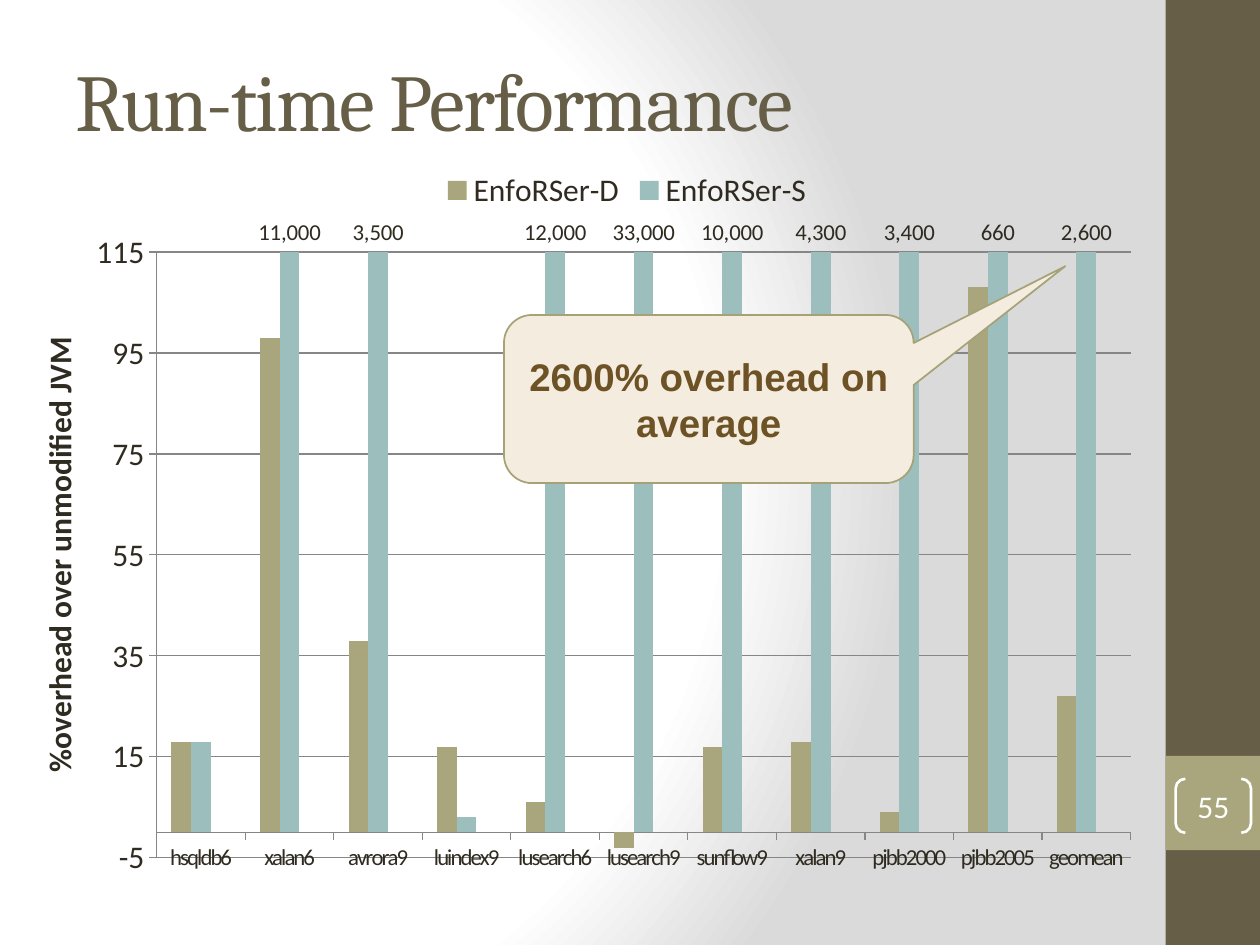
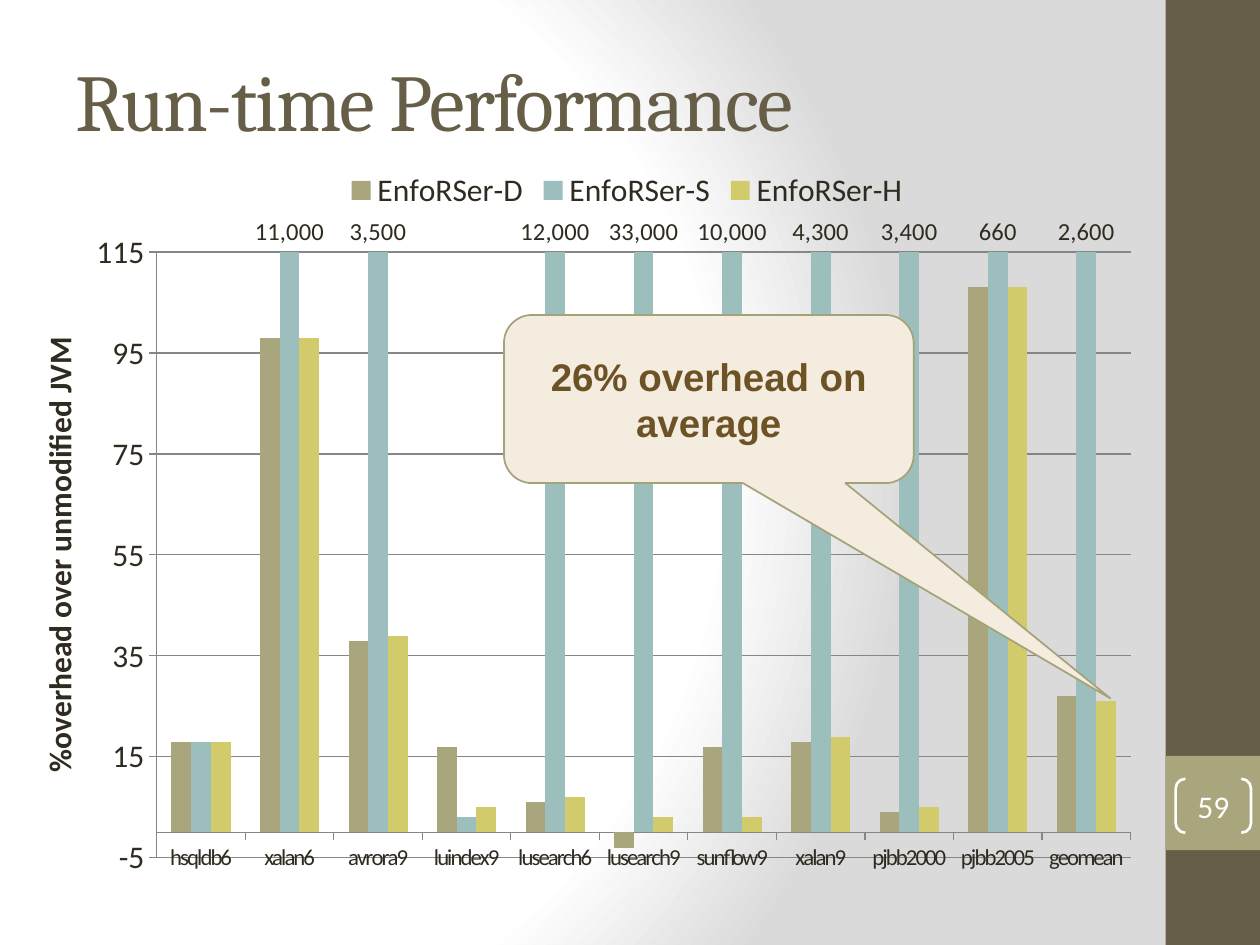
import pptx
import pptx.chart.data
import pptx.dml.color
import pptx.enum.chart
import pptx.enum.shapes
import pptx.enum.text
import pptx.oxml
import pptx.oxml.ns
import pptx.util
from dataclasses import dataclass
from typing import Optional

Cm, Pt = pptx.util.Cm, pptx.util.Pt
MSO_SHAPE = pptx.enum.shapes.MSO_SHAPE
PP_ALIGN = pptx.enum.text.PP_ALIGN
XL = pptx.enum.chart

COLORS = {
    "band": "675E47",
    "accent": "A9A57C",
    "teal": "9CBEBD",
    "yellow": "D2CB6C",
    "text": "2F2B20",
    "grid": "868686",
    "callout": "F4ECDF",
    "callout_line": "A6A278",
    "callout_text": "6D5225",
    "white": "FFFFFF",
    "shade": "DADADA",
}
BENCHMARKS = ["hsqldb6", "xalan6", "avrora9", "luindex9", "lusearch6", "lusearch9",
              "sunflow9", "xalan9", "pjbb2000", "pjbb2005", "geomean"]
AXIS_MIN, AXIS_MAX, AXIS_STEP = -5, 115, 20
# Overheads beyond the axis are cut at its top and labelled with their true value.
CUT_LABELS = {1: "11,000", 2: "3,500", 4: "12,000", 5: "33,000", 6: "10,000",
              7: "4,300", 8: "3,400", 9: "660", 10: "2,600"}
SHORT_BARS = {0: 18, 3: 3}


@dataclass
class Overhead:
    name: str
    color: str
    values: list[int]


@dataclass
class Box:
    left: float
    top: float
    width: float
    height: float

    def emu(self) -> tuple:
        return tuple(Cm(v) for v in (self.left, self.top, self.width, self.height))


@dataclass
class PerformanceSlide:
    number: str
    message: str
    pointer: tuple[float, float]
    label_size: int
    show_hybrid: bool


OVERHEADS = [
    Overhead("EnfoRSer-D", "accent", [18, 98, 38, 17, 6, -3, 17, 18, 4, 108, 27]),
    Overhead("EnfoRSer-S", "teal",
             [SHORT_BARS.get(i, AXIS_MAX) for i in range(len(BENCHMARKS))]),
    Overhead("EnfoRSer-H", "yellow", [18, 98, 39, 5, 7, 3, 3, 19, 5, 108, 26]),
]
SLIDES = [
    PerformanceSlide("55", "2600% overhead on average", (0.87, -0.79), 13, False),
    PerformanceSlide("59", "26% overhead on average", (0.98, 1.78), 14, True),
]
SLIDE_W, SLIDE_H = 25.4, 19.05
BAND = Box(23.5, 0, 1.9, SLIDE_H)
NUMBER_BLOCK = Box(23.5, 15.24, 1.9, 1.9)
NUMBER = Box(23.7, 15.7, 1.52, 1.09)
TITLE = Box(1.27, 0.42, 21.16, 3.18)
CHART = Box(0.64, 3.14, 24, 15.92)
CALLOUT = Box(10.16, 6.35, 8.26, 3.39)
PLOT = {"x": 0.105, "y": 0.122, "w": 0.818, "h": 0.767}


def rgb(name: str) -> pptx.dml.color.RGBColor:
    return pptx.dml.color.RGBColor.from_string(COLORS[name])


def xml(source: str):
    """Parse an element whose tag lacks its a: or c: namespace declaration."""
    head, tail = source.split(">", 1)
    return pptx.oxml.parse_xml(f"{head} {pptx.oxml.ns.nsdecls('a', 'c')}>{tail}")


def set_background(master) -> None:
    master.background.fill.gradient()
    grad = master.element.find(".//" + pptx.oxml.ns.qn("a:gradFill"))
    stops = "".join(
        f'<a:gs pos="{pos}"><a:srgbClr val="{COLORS[color]}"/></a:gs>'
        for pos, color in ((0, "white"), (75000, "white"), (100000, "shade")))
    grad.getparent().replace(grad, xml(
        f'<a:gradFill rotWithShape="1"><a:gsLst>{stops}</a:gsLst><a:path path="circle">'
        '<a:fillToRect l="20000" t="50000" r="100000" b="50000"/></a:path></a:gradFill>'))


def add_shape(slide, kind, box: Box, fill: Optional[str] = None,
              line: Optional[str] = None, line_width: float = 1):
    sp = slide.shapes.add_shape(kind, *box.emu())
    sp.shadow.inherit = False
    if fill:
        sp.fill.solid()
        sp.fill.fore_color.rgb = rgb(fill)
    else:
        sp.fill.background()
    if line:
        sp.line.color.rgb = rgb(line)
        sp.line.width = Pt(line_width)
    else:
        sp.line.fill.background()
    return sp


def set_font(font, name: str, size: int, color: str, bold: bool = False) -> None:
    font.name, font.size, font.bold = name, Pt(size), bold
    font.color.rgb = rgb(color)


def write(sp, text: str, align, name: str, size: int, color: str, bold: bool = False):
    tf = sp.text_frame
    tf.word_wrap = True
    tf.vertical_anchor = pptx.enum.text.MSO_ANCHOR.MIDDLE
    p = tf.paragraphs[0]
    p.text, p.alignment = text, align
    set_font(p.font, name, size, color, bold)
    return p


def add_frame(slide, number: str) -> None:
    """Draw the side band, the title and the bracketed slide number."""
    add_shape(slide, MSO_SHAPE.RECTANGLE, BAND, "band")
    add_shape(slide, MSO_SHAPE.RECTANGLE, NUMBER_BLOCK, "accent")
    p = write(slide.shapes.add_textbox(*TITLE.emu()), "Run-time Performance",
              PP_ALIGN.LEFT, "Cambria", 46, "band")
    p.runs[0].font._element.set("spc", "-100")
    sp = add_shape(slide, MSO_SHAPE.DOUBLE_BRACKET, NUMBER, line="white", line_width=1.5)
    sp.adjustments[0] = 0.18
    tf = sp.text_frame
    tf.margin_left = tf.margin_right = tf.margin_top = tf.margin_bottom = 0
    write(sp, number, PP_ALIGN.CENTER, "Calibri", 18, "white")


def style_axes(chart) -> None:
    cat, val = chart.category_axis, chart.value_axis
    for axis in (cat, val):
        axis.major_tick_mark = XL.XL_TICK_MARK.OUTSIDE
        axis.minor_tick_mark = XL.XL_TICK_MARK.NONE
        axis.format.line.color.rgb = rgb("grid")
        axis.format.line.width = Pt(0.75)
    set_font(cat.tick_labels.font, "Calibri", 13, "text")
    cat.tick_labels.font._element.set("spc", "-100")
    val.minimum_scale, val.maximum_scale, val.major_unit = AXIS_MIN, AXIS_MAX, AXIS_STEP
    val.has_major_gridlines = True
    val.major_gridlines.format.line.color.rgb = rgb("grid")
    val.major_gridlines.format.line.width = Pt(0.75)
    p = val.axis_title.text_frame.paragraphs[0]
    p.text = "%overhead over unmodified JVM"
    set_font(p.font, "Calibri", 18, "text", bold=True)
    body = val.axis_title.text_frame._txBody.bodyPr
    body.set("rot", "-5400000")
    body.set("vert", "horz")


def label_cut_bars(series, size: int) -> None:
    for i, text in CUT_LABELS.items():
        label = series.points[i].data_label
        r = label.text_frame.paragraphs[0].add_run()
        r.text = text
        set_font(r.font, "Calibri", size, "text")
        label.position = XL.XL_LABEL_POSITION.OUTSIDE_END
    series.data_labels.show_value = False


def fix_plot_area(chart) -> None:
    plot_area = chart._chartSpace.chart.plotArea
    for layout in plot_area.findall(pptx.oxml.ns.qn("c:layout")):
        plot_area.remove(layout)
    sizes = "".join(f'<c:{key} val="{value}"/>' for key, value in PLOT.items())
    plot_area.insert(0, xml(
        '<c:layout><c:manualLayout><c:layoutTarget val="inner"/><c:xMode val="edge"/>'
        f'<c:yMode val="edge"/>{sizes}</c:manualLayout></c:layout>'))


def add_overhead_chart(slide, label_size: int, show_hybrid: bool) -> None:
    data = pptx.chart.data.CategoryChartData()
    data.categories = BENCHMARKS
    for overhead in OVERHEADS:
        data.add_series(overhead.name, overhead.values)
    chart = slide.shapes.add_chart(
        XL.XL_CHART_TYPE.COLUMN_CLUSTERED, *CHART.emu(), data).chart
    set_font(chart.font, "Calibri", 18, "text")
    chart.has_title = False
    chart.has_legend = True
    chart.legend.position = XL.XL_LEGEND_POSITION.TOP
    chart.legend.include_in_layout = False
    plot = chart.plots[0]
    plot.gap_width, plot.overlap, plot.vary_by_categories = 150, 0, False
    for series, overhead in zip(plot.series, OVERHEADS):
        series.invert_if_negative = False
        series.format.fill.solid()
        series.format.fill.fore_color.rgb = rgb(overhead.color)
    label_cut_bars(plot.series[1], label_size)
    if not show_hybrid:
        # The third series keeps its room beside the other bars.
        plot.series[2].format.fill.background()
        chart.legend._element.insert(1, xml(
            '<c:legendEntry><c:idx val="2"/><c:delete val="1"/></c:legendEntry>'))
    style_axes(chart)
    fix_plot_area(chart)


def add_callout(slide, message: str, pointer: tuple[float, float]) -> None:
    sp = add_shape(slide, MSO_SHAPE.ROUNDED_RECTANGULAR_CALLOUT, CALLOUT,
                   "callout", "callout_line")
    for i, value in enumerate(pointer):
        sp.adjustments[i] = value
    write(sp, message, PP_ALIGN.CENTER, "Arial", 22, "callout_text", bold=True)


def main() -> None:
    prs = pptx.Presentation()
    prs.slide_width, prs.slide_height = Cm(SLIDE_W), Cm(SLIDE_H)
    set_background(prs.slide_master)
    for content in SLIDES:
        slide = prs.slides.add_slide(prs.slide_layouts[6])
        add_frame(slide, content.number)
        add_overhead_chart(slide, content.label_size, content.show_hybrid)
        add_callout(slide, content.message, content.pointer)
    prs.save("out.pptx")


if __name__ == "__main__":
    main()
